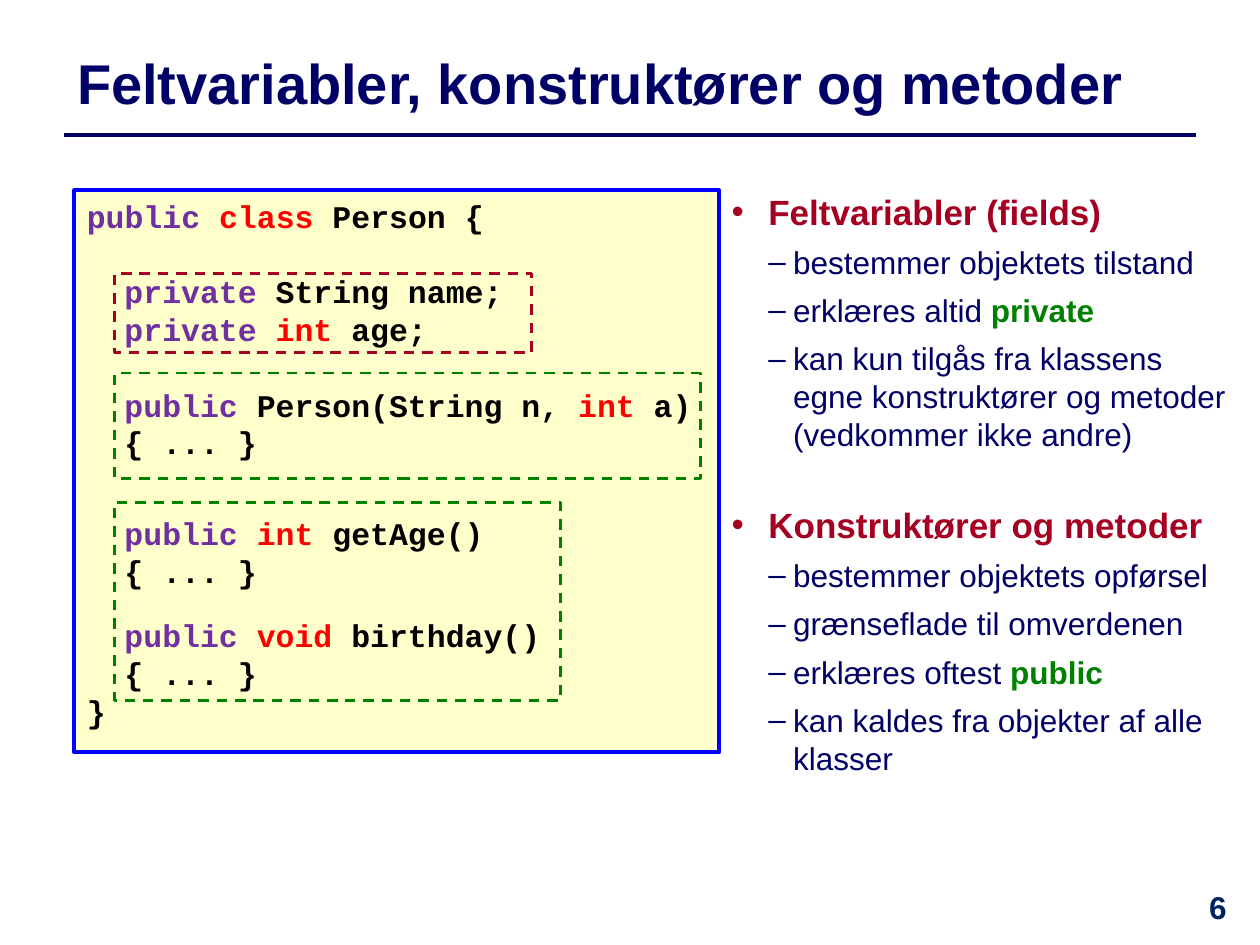
from lxml.etree import SubElement
from pptx import Presentation
from pptx.dml.color import RGBColor
from pptx.enum.dml import MSO_LINE_DASH_STYLE as Dash
from pptx.enum.shapes import MSO_CONNECTOR as Connector, MSO_SHAPE as Shape
from pptx.enum.text import MSO_ANCHOR as Anchor, PP_ALIGN as Align
from pptx.oxml.ns import qn
from pptx.util import Cm, Pt

NAVY, RED, GREEN = "000066", "A50021", "008000"
PURPLE, BRIGHT_RED, BLACK = "7030A0", "FF0000", "000000"
CODE_COLORS = {"public": PURPLE, "private": PURPLE,
               "class": BRIGHT_RED, "int": BRIGHT_RED, "void": BRIGHT_RED}
LINE_PITCH = 1.2  # line height relative to the text size

# Code lines: space before in points, indented or not, text
CODE = [
    (0, False, "public class Person {"),
    (21.6, True, "private String name;"),
    (0, True, "private int age;"),
    (21.6, True, "public Person(String n, int a)"),
    (0, True, "{ ... }"),
    (30.2, True, "public int getAge()"),
    (0, True, "{ ... }"),
    (15.1, True, "public void birthday()"),
    (0, True, "{ ... }"),
    (0, False, "}"),
]

# Heading, then its points as (plain text, emphasised keyword)
TOPICS = [
    ("Feltvariabler (fields)", [
        ("bestemmer objektets tilstand", ""),
        ("erklæres altid ", "private"),
        ("kan kun tilgås fra klassens egne konstruktører og metoder "
         "(vedkommer ikke andre)", ""),
    ]),
    ("Konstruktører og metoder", [
        ("bestemmer objektets opførsel", ""),
        ("grænseflade til omverdenen", ""),
        ("erklæres oftest ", "public"),
        ("kan kaldes fra objekter af alle klasser", ""),
    ]),
]

# Dashed frames around parts of the code: top, width, height, colour
FRAME_LEFT = 2.31
FRAMES = [
    (5.51, 8.41, 1.6, RED),
    (7.52, 11.81, 2.13, GREEN),
    (10.13, 8.99, 3.99, GREEN),
]


def color(hex_text):
    return RGBColor.from_string(hex_text)


def add_text(paragraph, text, size=18, font="Arial", fill=NAVY, bold=False):
    run = paragraph.add_run()
    run.text = text
    run.font.size = Pt(size)
    run.font.name = font
    run.font.bold = bold
    run.font.color.rgb = color(fill)


def next_paragraph(frame, first, size=18, before=0, align=Align.LEFT):
    paragraph = frame.paragraphs[0] if first else frame.add_paragraph()
    paragraph.alignment = align
    paragraph.line_spacing = Pt(size * LINE_PITCH)
    paragraph.space_before = Pt(before)
    return paragraph


def indent(paragraph, left, hanging=0, bullet=None):
    properties = paragraph._p.get_or_add_pPr()
    properties.set("marL", str(Cm(left)))
    properties.set("indent", str(-Cm(hanging)))
    if bullet:
        SubElement(properties, qn("a:buFont"), typeface="Arial")
        SubElement(properties, qn("a:buChar"), char=bullet)


def add_box(slide, left, top, width, height, line, weight, fill=None, dash=None):
    shape = slide.shapes.add_shape(
        Shape.RECTANGLE, Cm(left), Cm(top), Cm(width), Cm(height))
    shape.shadow.inherit = False
    if fill:
        shape.fill.solid()
        shape.fill.fore_color.rgb = color(fill)
    else:
        shape.fill.background()
    shape.line.color.rgb = color(line)
    shape.line.width = Pt(weight)
    if dash:
        shape.line.dash_style = dash
    return shape


def add_text_frame(slide, left, top, width, height):
    box = slide.shapes.add_textbox(Cm(left), Cm(top), Cm(width), Cm(height))
    box.text_frame.word_wrap = True
    return box.text_frame


def add_title(slide, text):
    title = slide.shapes.title
    title.left, title.top = Cm(1.3), Cm(0.71)
    title.width, title.height = Cm(23.39), Cm(1.91)
    frame = title.text_frame
    frame.vertical_anchor = Anchor.MIDDLE
    paragraph = frame.paragraphs[0]
    paragraph.alignment = Align.LEFT
    add_text(paragraph, text, size=32, bold=True)


def add_rule(slide):
    rule = slide.shapes.add_connector(
        Connector.STRAIGHT, Cm(1.3), Cm(2.72), Cm(24.1), Cm(2.72))
    rule.line.color.rgb = color(NAVY)
    rule.line.width = Pt(2)
    SubElement(rule._element.spPr, qn("a:effectLst"))


def add_code(slide):
    box = add_box(slide, 1.5, 3.84, 13, 11.33, "0000FF", 2.25, fill="FFFFCC")
    frame = box.text_frame
    frame.vertical_anchor = Anchor.TOP
    frame.word_wrap = True
    for number, (before, indented, line) in enumerate(CODE):
        paragraph = next_paragraph(frame, number == 0, before=before)
        indent(paragraph, 0.76 if indented else 0)
        words = line.split(" ")
        for position, word in enumerate(words):
            gap = " " if position < len(words) - 1 else ""
            add_text(paragraph, word + gap, font="Courier New", bold=True,
                     fill=CODE_COLORS.get(word, BLACK))


def add_topics(slide):
    frame = add_text_frame(slide, 14.5, 3.71, 10.59, 11.81)
    for number, (heading, points) in enumerate(TOPICS):
        paragraph = next_paragraph(frame, number == 0, size=20,
                                   before=29 if number else 0)
        indent(paragraph, 0.74, 0.74, "•")
        add_text(paragraph, heading, size=20, fill=RED, bold=True)
        for plain, keyword in points:
            paragraph = next_paragraph(frame, False, before=6)
            paragraph.level = 1
            indent(paragraph, 1.24, 0.5, "–")
            add_text(paragraph, plain)
            if keyword:
                add_text(paragraph, keyword, fill=GREEN, bold=True)


def add_page_number(slide, number):
    frame = add_text_frame(slide, 23.7, 17.78, 1.7, 1.27)
    paragraph = frame.paragraphs[0]
    paragraph.alignment = Align.CENTER
    add_text(paragraph, number, fill="002060", bold=True)


def main():
    presentation = Presentation()
    presentation.slide_width, presentation.slide_height = Cm(25.4), Cm(19.05)
    slide = presentation.slides.add_slide(presentation.slide_layouts[5])

    # Header
    add_rule(slide)
    add_title(slide, "Feltvariabler, konstruktører og metoder")

    # Explanation and code
    add_topics(slide)
    add_code(slide)
    for top, width, height, line in FRAMES:
        add_box(slide, FRAME_LEFT, top, width, height, line, 1.5, dash=Dash.DASH)

    # Footer
    add_page_number(slide, "6")
    presentation.save("out.pptx")


if __name__ == "__main__":
    main()
